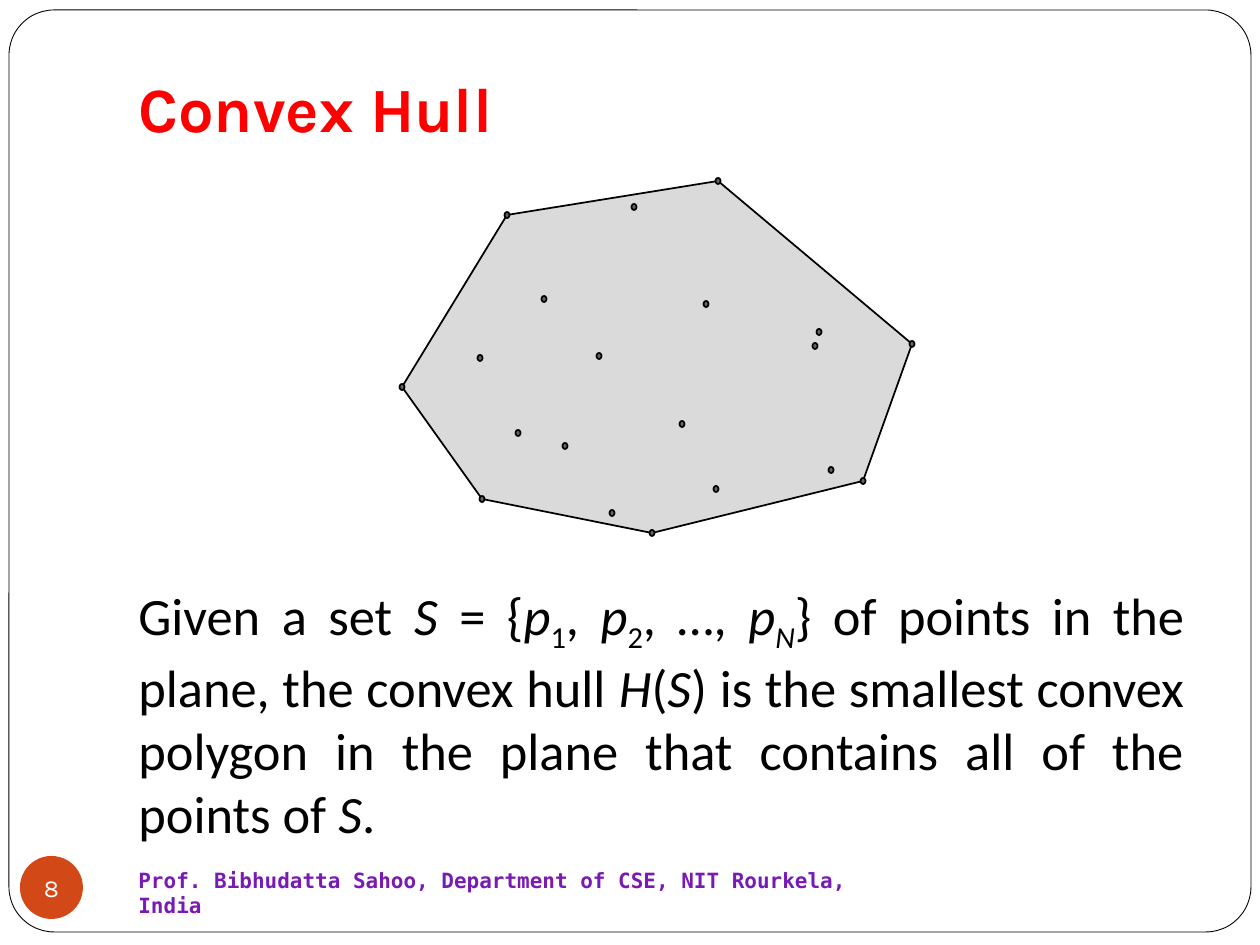
from pptx import Presentation
from pptx.dml.color import RGBColor
from pptx.enum.shapes import MSO_SHAPE as Shape
from pptx.enum.text import MSO_ANCHOR as Anchor, PP_ALIGN as Align
from pptx.util import Pt

SCALE = 914400 / 126
TITLE = [("Convex Hull", "")]
FOOTER = [("Prof. Bibhudatta Sahoo, Department of CSE, NIT Rourkela, India", "")]
PAGE = [("8", "")]
DEFINITION = [
    ("Given a set ", ""), ("S", "i"), (" = {", ""), ("p", "i"), ("1", "sub"),
    (", ", ""), ("p", "i"), ("2", "sub"), (", …, ", ""), ("p", "i"), ("N", "i sub"),
    ("} of points in the plane, the convex hull ", ""), ("H", "i"), ("(", ""), ("S", "i"),
    (") is the smallest convex polygon in the plane that contains all of the points of ", ""),
    ("S", "i"), (".", ""),
]
HULL = [(402, 387), (507, 215), (718, 181), (912, 344), (863, 481), (652, 533), (482, 499)]
INNER = [
    (599, 356), (518, 433), (544, 299), (634, 207), (819, 332), (682, 424), (612, 513),
    (831, 470), (815, 346), (480, 358), (706, 304), (716, 489), (565, 446),
]
DOT_W, DOT_H = 5, 6


def px(length):
    """Turn px into EMU."""
    return round(length * SCALE)


def color(value):
    """Turn a hex string into a colour."""
    return RGBColor.from_string(value)


def paint(shape, fill, line_width=0):
    """Give a shape a flat fill and an optional black outline."""
    shape.shadow.inherit = False
    shape.fill.solid()
    shape.fill.fore_color.rgb = color(fill)
    if line_width:
        shape.line.color.rgb = color("000000")
        shape.line.width = Pt(line_width)
    else:
        shape.line.fill.background()


def add_preset(slide, kind, box, fill, line_width=0):
    """Add a painted preset shape."""
    shape = slide.shapes.add_shape(kind, *map(px, box))
    paint(shape, fill, line_width)
    return shape


def write(shape, runs, font, size, ink, bold=False, align=Align.LEFT, anchor=Anchor.TOP):
    """Write styled runs into a shape and return its text frame."""
    frame = shape.text_frame
    frame.word_wrap = True
    frame.vertical_anchor = anchor
    paragraph = frame.paragraphs[0]
    paragraph.alignment = align
    for text, style in runs:
        run = paragraph.add_run()
        run.text = text
        run.font.name, run.font.size, run.font.bold = font, Pt(size), bold
        run.font.color.rgb = color(ink)
        run.font.italic = "i" in style.split()
        if "sub" in style:
            run.font._element.set("baseline", "-25000")
    return frame


def main():
    """Build the convex hull slide."""
    deck = Presentation()
    deck.slide_width, deck.slide_height = px(1260), px(945)
    slide = deck.slides.add_slide(deck.slide_layouts[6])

    def text_box(*box):
        return slide.shapes.add_textbox(*map(px, box))

    border = add_preset(slide, Shape.ROUNDED_RECTANGLE, (9, 10, 1242, 922), "FFFFFF", 0.5)
    border.adjustments[0] = 0.049

    title = write(text_box(126, 38, 1071, 120), TITLE, "Karla", 36, "FF0000", True,
                  anchor=Anchor.BOTTOM)
    title.margin_bottom = px(13)
    write(text_box(126, 872, 798, 42), FOOTER, "DejaVu Sans Mono", 12, "791AB4", True,
          anchor=Anchor.MIDDLE)

    badge = add_preset(slide, Shape.OVAL, (20, 856, 63, 63), "D34817")
    number = write(badge, PAGE, "Karla", 14, "FFFFFF", align=Align.CENTER, anchor=Anchor.MIDDLE)
    number.margin_left = number.margin_right = number.margin_top = number.margin_bottom = 0
    number.word_wrap = False

    definition = write(text_box(126, 577, 1071, 252), DEFINITION, "Calibri", 30, "000000",
                       align=Align.JUSTIFY)
    definition.paragraphs[0].space_before = Pt(5.8)

    outline = slide.shapes.build_freeform(*HULL[0], scale=SCALE)
    outline.add_line_segments(HULL[1:], close=True)
    paint(outline.convert_to_shape(), "DADADA", 1)
    for x, y in HULL + INNER:
        dot = (x - DOT_W / 2, y - DOT_H / 2, DOT_W, DOT_H)
        add_preset(slide, Shape.OVAL, dot, "696464", 1)

    deck.save("out.pptx")


if __name__ == "__main__":
    main()
